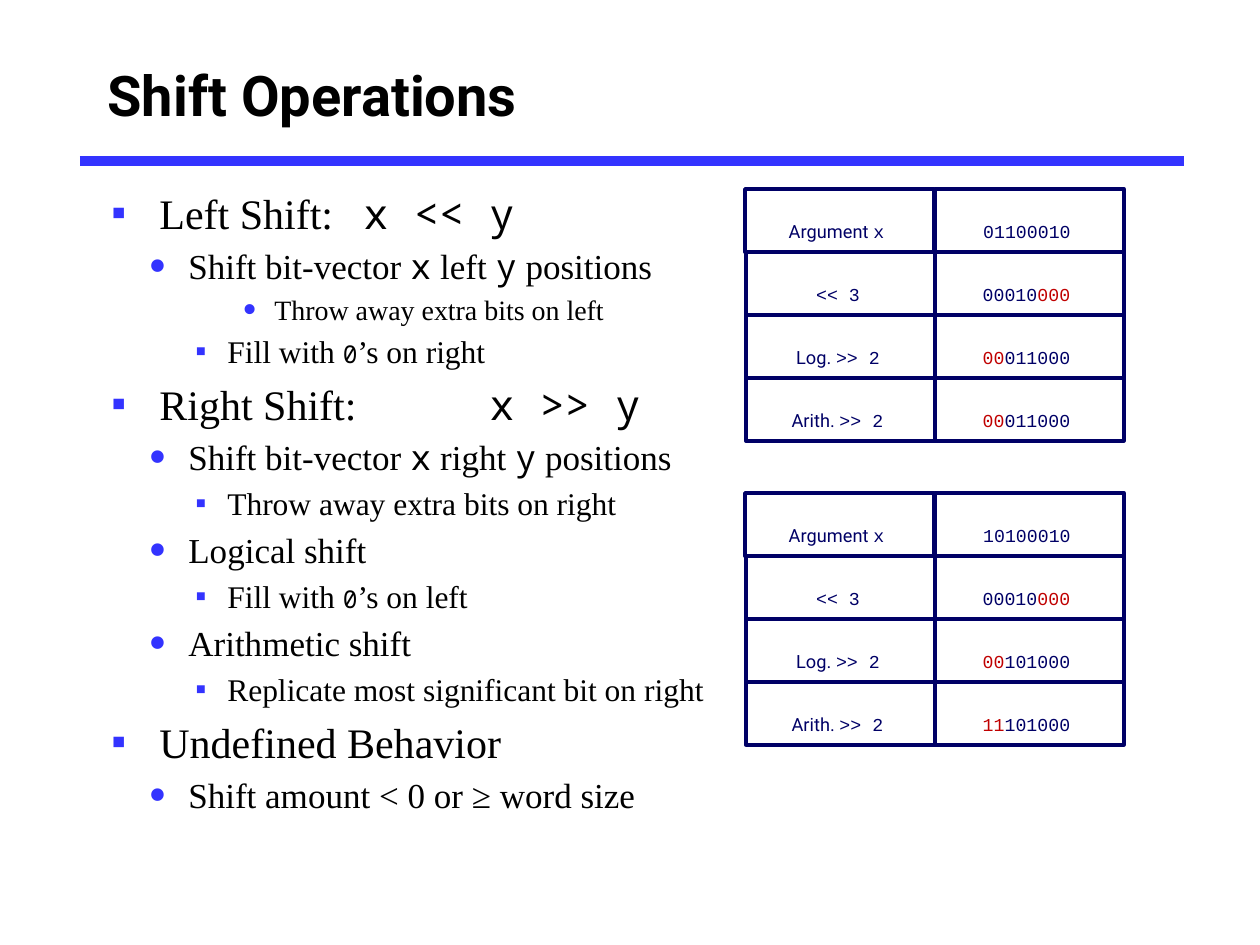
from lxml.etree import SubElement
from pptx import Presentation
from pptx.dml.color import RGBColor
from pptx.enum.shapes import MSO_CONNECTOR, MSO_SHAPE
from pptx.enum.text import MSO_ANCHOR, MSO_AUTO_SIZE, PP_ALIGN
from pptx.oxml.ns import qn
from pptx.util import Emu, Pt

COLORS = {"black": "000000", "white": "FFFFFF", "blue": "3333FF", "navy": "000066", "red": "C00000"}
BODY_STYLE = ("Times New Roman", "black")
CODE_STYLE = ("Noto Sans Mono", "black")
LABEL_STYLE = ("Roboto", "navy")
BITS_STYLE = ("Courier New", "navy")
NEW_BITS_STYLE = ("Courier New", "red")


def px(count):
    return Emu(round(count * 914400 / 126))


def add_runs(paragraph, text, sizes, styles, baseline=None):
    for index, part in enumerate(text.split("`")):
        if not part:
            continue
        font_name, color = styles[index % 2]
        run = paragraph.add_run()
        run.text = part
        run.font.size = Pt(sizes[index % 2])
        run.font.name = font_name
        run.font.color.rgb = RGBColor.from_string(COLORS[color])
        if baseline:
            run._r.get_or_add_rPr().set("baseline", baseline)


presentation = Presentation()
presentation.slide_width = px(1260)
presentation.slide_height = px(945)
slide = presentation.slides.add_slide(presentation.slide_layouts[5])

rule = slide.shapes.add_connector(MSO_CONNECTOR.STRAIGHT, px(80), px(161), px(1184), px(161))
rule.line.color.rgb = RGBColor.from_string(COLORS["blue"])
rule.line.width = Pt(6)
SubElement(rule._element.spPr, qn("a:effectLst"))

title = slide.shapes.title
title.left, title.top, title.width, title.height = px(95), px(24), px(1071), px(141)
title.text_frame.text = "Shift Operations"
title.text_frame.vertical_anchor = MSO_ANCHOR.MIDDLE
title_paragraph = title.text_frame.paragraphs[0]
title_paragraph.alignment = PP_ALIGN.LEFT
title_font = title_paragraph.runs[0].font
title_font.name = "Roboto"
title_font.size = Pt(32)
title_font.bold = True
title_font.color.rgb = RGBColor.from_string(COLORS["black"])

LEVELS = {
    0: (24, 24, 48, 48, "▪", 100),
    1: (20, 20, 77, 40, "•", 150),
    2: (18, 14, 116, 32, "▪", 100),
    3: (16, 16, 163, 32, "•", 150),
}
OUTLINE = [
    (0, "Left Shift: \t`x << y`"),
    (1, "Shift bit-vector `x` left `y` positions"),
    (3, "Throw away extra bits on left"),
    (2, "Fill with `0`’s on right"),
    (0, "Right Shift: \t`x >> y`"),
    (1, "Shift bit-vector `x` right `y` positions"),
    (2, "Throw away extra bits on right"),
    (1, "Logical shift"),
    (2, "Fill with `0`’s on left"),
    (1, "Arithmetic shift"),
    (2, "Replicate most significant bit on right"),
    (0, "Undefined Behavior"),
    (1, "Shift amount < 0 or ≥ word size"),
]
body = slide.shapes.add_textbox(px(99), px(181), px(1071), px(693))
body.text_frame.word_wrap = True
for index, (level, text) in enumerate(OUTLINE):
    size, code_size, margin, hanging, bullet, percent = LEVELS[level]
    paragraph = body.text_frame.add_paragraph() if index else body.text_frame.paragraphs[0]
    paragraph.level = level
    if index:
        paragraph.space_before = Pt(size * 0.2)
    properties = paragraph._p.get_or_add_pPr()
    properties.set("marL", str(px(margin)))
    properties.set("indent", str(-px(hanging)))
    properties.set("defTabSz", str(px(126)))
    bullet_color = SubElement(properties, qn("a:buClr"))
    SubElement(bullet_color, qn("a:srgbClr"), val=COLORS["blue"])
    SubElement(properties, qn("a:buSzPct"), val=str(percent * 1000))
    SubElement(properties, qn("a:buFont"), typeface="Times New Roman")
    SubElement(properties, qn("a:buChar"), char=bullet)
    add_runs(paragraph, text, (size, code_size), (BODY_STYLE, CODE_STYLE))

CELL_WIDTH, CELL_HEIGHT = 189, 63
LABELS = [("Argument `x`", 198, 55), ("`<< 3`", 97, 49), ("Log. `>> 2`", 173, 55), ("Arith. `>> 2`", 188, 55)]
GRIDS = [
    (189, ["01100010", "00010`000`", "`00`011000", "`00`011000"]),
    (493, ["10100010", "00010`000`", "`00`101000", "`11`101000"]),
]
for grid_top, results in GRIDS:
    for row, (label, result) in enumerate(zip(LABELS, results)):
        bits_size = (122, 39) if row else (173, 49)
        top = grid_top + row * CELL_HEIGHT
        label_left = 746 if row else 745
        cells = [
            (label_left, *label, (LABEL_STYLE, BITS_STYLE)),
            (935, result, *bits_size, (BITS_STYLE, NEW_BITS_STYLE)),
        ]
        for left, text, width, height, styles in cells:
            cell = slide.shapes.add_shape(MSO_SHAPE.RECTANGLE, px(left), px(top), px(CELL_WIDTH), px(CELL_HEIGHT))
            cell.shadow.inherit = False
            cell.fill.solid()
            cell.fill.fore_color.rgb = RGBColor.from_string(COLORS["white"])
            cell.line.color.rgb = RGBColor.from_string(COLORS["navy"])
            cell.line.width = Pt(2)

            text_left = left + (CELL_WIDTH - width) // 2
            text_top = top + (CELL_HEIGHT - height) // 2
            text_box = slide.shapes.add_textbox(px(text_left), px(text_top), px(width), px(height))
            frame = text_box.text_frame
            frame.word_wrap = False
            frame.auto_size = MSO_AUTO_SIZE.SHAPE_TO_FIT_TEXT
            frame.vertical_anchor = MSO_ANCHOR.MIDDLE
            frame.margin_left = frame.margin_top = frame.margin_bottom = px(8)
            frame.margin_right = px(13)
            paragraph = frame.paragraphs[0]
            paragraph.alignment = PP_ALIGN.CENTER
            add_runs(paragraph, text, (18, 18), styles, baseline="-25000")

presentation.save("out.pptx")
